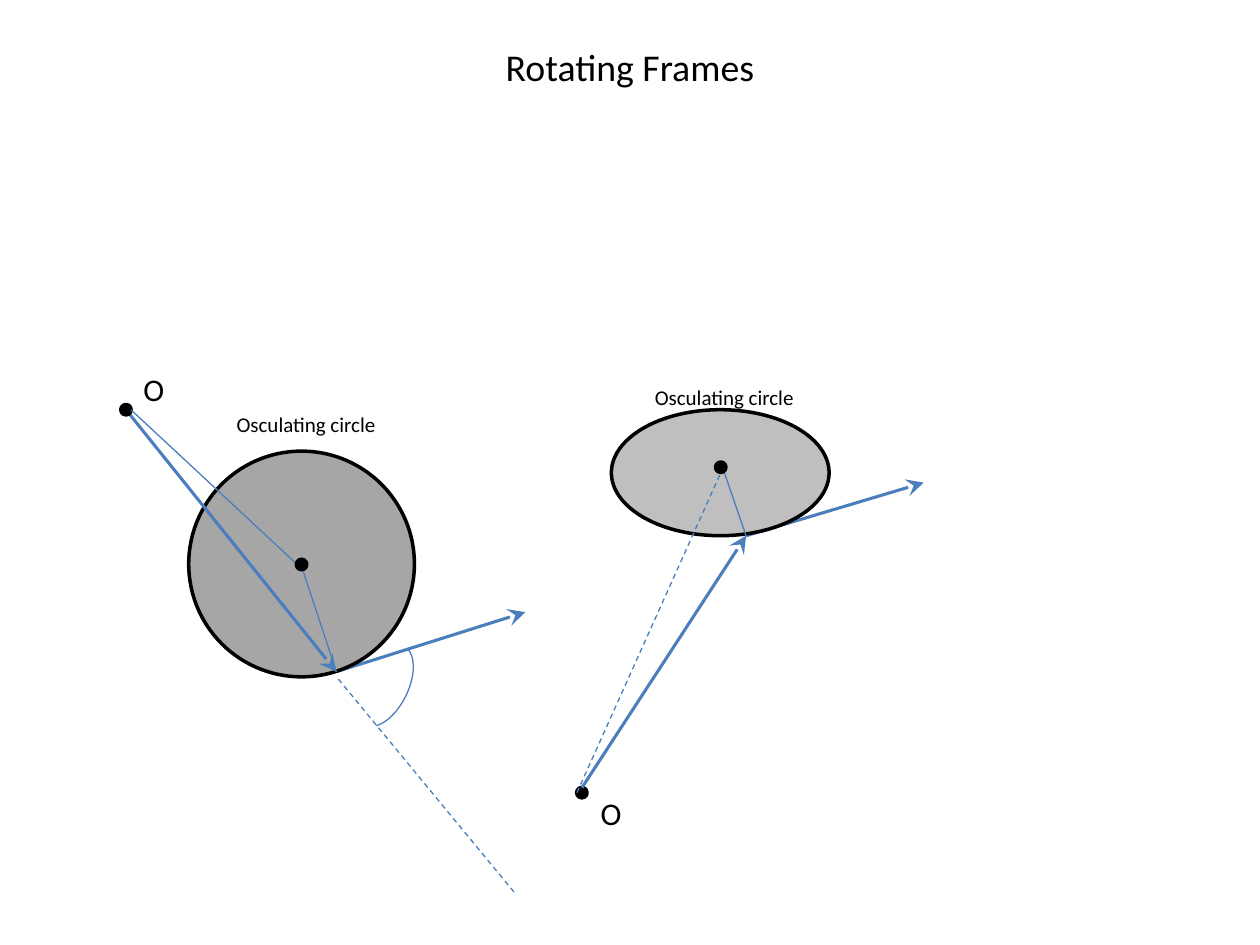
"""Build the "Rotating Frames" slide with two osculating circles."""
import pptx
import pptx.dml.color
import pptx.enum.dml
import pptx.enum.shapes
import pptx.enum.text
import pptx.oxml
import pptx.oxml.ns
import pptx.util
from pptx.util import Cm

COLORS = {"ink": "000000", "vector": "4B7EBC", "left disc": "A6A6A6", "right disc": "BFBFBF"}
FONT = "Calibri"
DOT = (0.21, 0.21)

TITLE = ("Rotating Frames", (1.27, 0.76), (22.86, 1.14), 21.6)
LABELS = [
    ("O", (11.86, 15.88), (0.94, 1.02), 18),
    ("Osculating circle", (12.95, 7.62), (3.35, 0.76), 12),
    ("O", (2.64, 7.34), (0.94, 1.02), 18),
    ("Osculating circle", (4.52, 8.18), (3.35, 0.76), 12),
]

LEFT_CONTACT = (6.78, 13.54)
LEFT_RADIUS_START = (6.1, 11.48)
RIGHT_CONTACT = (15.04, 10.8)
DIAGRAM = [
    ("disc", (11.73, 15.98), DOT, "ink"),
    ("arrow", (11.73, 15.88), RIGHT_CONTACT),
    ("arrow", RIGHT_CONTACT, (18.62, 9.73)),
    ("disc", (14.52, 9.53), (4.39, 2.54), "right disc"),
    ("thin", (14.53, 9.32), RIGHT_CONTACT),
    ("disc", (14.53, 9.42), DOT, "ink"),
    ("dashed", (11.63, 15.98), (14.53, 9.53)),
    ("arrow", LEFT_CONTACT, (10.59, 12.34)),
    ("disc", (6.08, 11.37), (4.55, 4.55), "left disc"),
    ("thin", LEFT_RADIUS_START, LEFT_CONTACT),
    ("arrow", (2.54, 8.26), LEFT_CONTACT),
    ("dashed", (10.36, 17.98), (6.78, 13.64)),
    ("disc", (2.54, 8.26), DOT, "ink"),
    ("thin", (2.64, 8.26), LEFT_RADIUS_START),
    ("disc", (6.08, 11.38), DOT, "ink"),
]
ANGLE = {"corner": (7.26, 12.93), "size": (0.97, 1.78), "rotation": 26.2, "sweep": (166.68, 44.99)}


def rgb(name):
    return pptx.dml.color.RGBColor.from_string(COLORS[name])


def stroke(line, color, width):
    line.color.rgb = rgb(color)
    line.width = pptx.util.Pt(width)


def add_disc(slide, center, size, fill):
    corner = [middle - extent / 2 for middle, extent in zip(center, size)]
    disc = slide.shapes.add_shape(
        pptx.enum.shapes.MSO_SHAPE.OVAL, *map(Cm, corner), *map(Cm, size))
    disc.shadow.inherit = False
    disc.fill.solid()
    disc.fill.fore_color.rgb = rgb(fill)
    stroke(disc.line, "ink", 2)


def add_vector(slide, kind, start, end):
    vector = slide.shapes.add_connector(
        pptx.enum.shapes.MSO_CONNECTOR.STRAIGHT, *map(Cm, start), *map(Cm, end))
    stroke(vector.line, "vector", 1.75 if kind == "arrow" else 0.75)
    if kind == "dashed":
        vector.line.dash_style = pptx.enum.dml.MSO_LINE.DASH
    if kind == "arrow":
        head = pptx.oxml.parse_xml(
            f'<a:tailEnd {pptx.oxml.ns.nsdecls("a")} type="stealth" w="lg" len="lg"/>')
        vector.line._get_or_add_ln().append(head)
    vector._element.spPr.append(
        pptx.oxml.parse_xml(f'<a:effectLst {pptx.oxml.ns.nsdecls("a")}/>'))


def add_angle(slide):
    angle = slide.shapes.add_shape(
        pptx.enum.shapes.MSO_SHAPE.ARC, *map(Cm, ANGLE["corner"]), *map(Cm, ANGLE["size"]))
    angle.shadow.inherit = False
    angle.rotation = ANGLE["rotation"]
    for index, bound in enumerate(ANGLE["sweep"]):
        angle.adjustments[index] = bound
    angle.fill.background()
    stroke(angle.line, "vector", 0.75)


def add_text(slide, wording, corner, size, points):
    frame = slide.shapes.add_textbox(*map(Cm, corner), *map(Cm, size)).text_frame
    frame.text = wording
    font = frame.paragraphs[0].runs[0].font
    font.name = FONT
    font.size = pptx.util.Pt(points)
    font.color.rgb = rgb("ink")
    return frame


def main():
    deck = pptx.Presentation()
    deck.slide_width, deck.slide_height = Cm(25.4), Cm(19.05)
    slide = deck.slides.add_slide(deck.slide_layouts[6])

    heading = add_text(slide, *TITLE)
    heading.word_wrap = True
    heading.vertical_anchor = pptx.enum.text.MSO_ANCHOR.MIDDLE
    heading.paragraphs[0].alignment = pptx.enum.text.PP_ALIGN.CENTER

    for kind, *geometry in DIAGRAM:
        if kind == "disc":
            add_disc(slide, *geometry)
        else:
            add_vector(slide, kind, *geometry)
    add_angle(slide)

    for label in LABELS:
        caption = add_text(slide, *label)
        caption.word_wrap = False
        caption.auto_size = pptx.enum.text.MSO_AUTO_SIZE.SHAPE_TO_FIT_TEXT

    deck.save("out.pptx")


if __name__ == "__main__":
    main()
